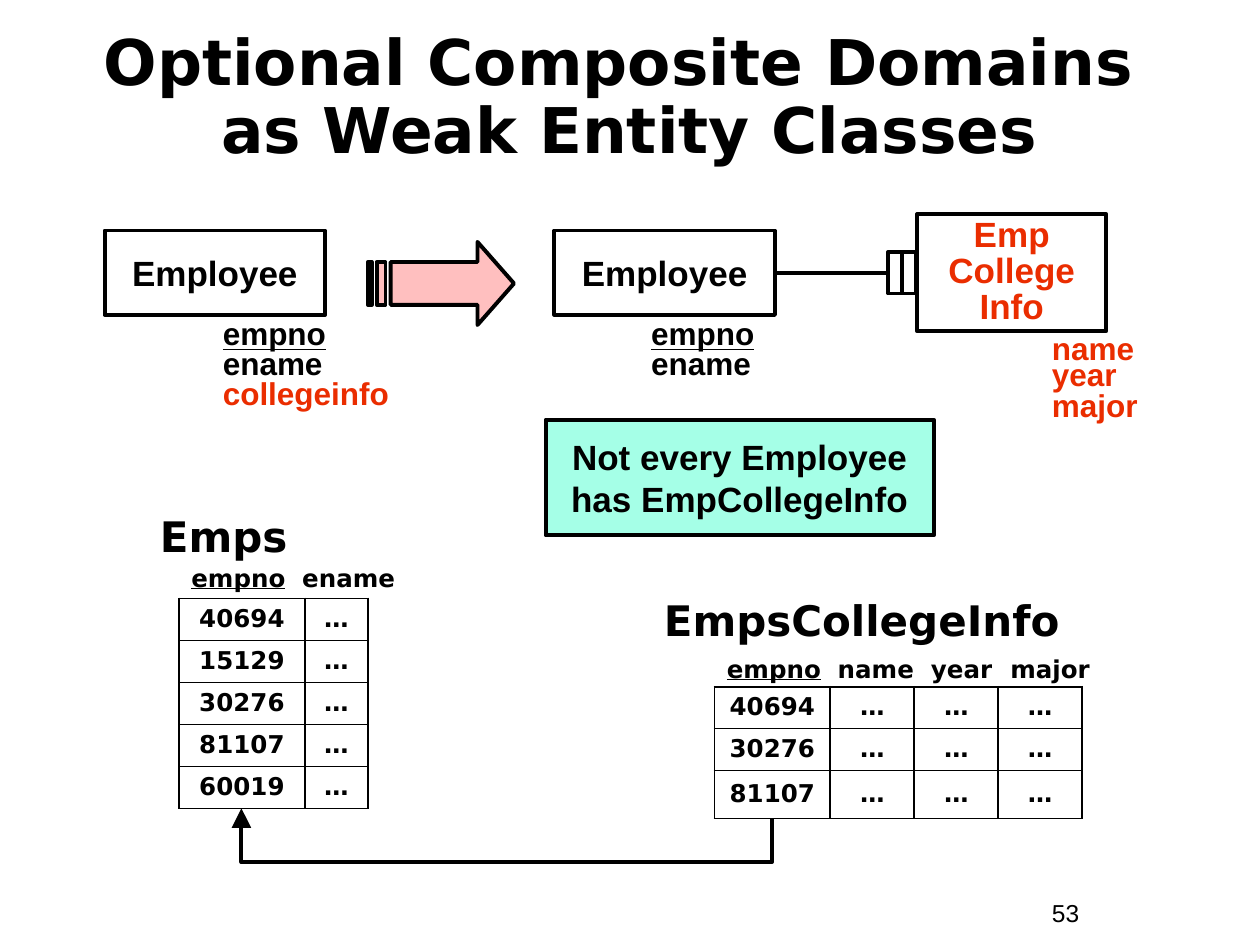
from dataclasses import dataclass

import pptx
import pptx.dml.color
import pptx.enum.shapes
import pptx.enum.text
import pptx.oxml
import pptx.oxml.ns
import pptx.util
from pptx.util import Inches

SHAPE = pptx.enum.shapes.MSO_SHAPE
CONNECTOR = pptx.enum.shapes.MSO_CONNECTOR
ALIGN = pptx.enum.text.PP_ALIGN
ANCHOR = pptx.enum.text.MSO_ANCHOR
BLACK, RED, PINK, MINT = "000000", "EA2D00", "FFBFBF", "A5FFE7"
ARIAL, DEJAVU = "Arial", "DejaVu Sans"
ROW = 1 / 3


@dataclass
class Line:
    text: str
    color: str = BLACK
    spacing: float = 1.0
    underline: bool = False
    rest: str = ""  # continues the line without underline


@dataclass
class Label:
    box: tuple[float, float, float, float]
    lines: list[Line]
    size: float
    font: str = ARIAL
    bold: bool = True
    centered: bool = False
    wrap: bool = True
    tabs: tuple[float, ...] = ()


@dataclass
class Grid:
    left: float
    top: float
    cols: list[float]
    rows: list[float]
    keys: list[str]


def rgb(value: str) -> pptx.dml.color.RGBColor:
    return pptx.dml.color.RGBColor.from_string(value)


def child(parent, tag: str, **attrs: str):
    el = pptx.oxml.parse_xml(f"<{tag} {pptx.oxml.ns.nsdecls('a')}/>")
    for name, value in attrs.items():
        el.set(name, value)
    parent.append(el)
    return el


def outline(sp, fill: str | None = None) -> None:
    sp.shadow.inherit = False
    if fill:
        sp.fill.solid()
        sp.fill.fore_color.rgb = rgb(fill)
    else:
        sp.fill.background()
    sp.line.color.rgb = rgb(BLACK)
    sp.line.width = pptx.util.Pt(2.25)


def add_run(p, text: str, color: str, **fmt) -> None:
    for i, part in enumerate(text.split("\n")):
        if i:
            p.add_line_break()
        r = p.add_run()
        r.text = part
        for name, value in fmt.items():
            setattr(r.font, name, value)
        r.font.color.rgb = rgb(color)


def write(tf, label: Label) -> None:
    tf.word_wrap = label.wrap
    fmt = {"size": pptx.util.Pt(label.size), "name": label.font, "bold": label.bold}
    for i, line in enumerate(label.lines):
        p = tf.add_paragraph() if i else tf.paragraphs[0]
        p.alignment = ALIGN.CENTER if label.centered else ALIGN.LEFT
        p.line_spacing = line.spacing
        if label.tabs:
            tabs = child(p._p.get_or_add_pPr(), "a:tabLst")
            for x in label.tabs:
                child(tabs, "a:tab", pos=str(Inches(x)), algn="l")
        add_run(p, line.text, line.color, underline=line.underline, **fmt)
        if line.rest:
            add_run(p, line.rest, line.color, **fmt)


def add_label(s, label: Label) -> None:
    tf = s.shapes.add_textbox(*map(Inches, label.box)).text_frame
    tf.vertical_anchor = ANCHOR.MIDDLE if label.centered else ANCHOR.TOP
    write(tf, label)


def add_box(s, box: tuple, fill: str | None = None, label: Label | None = None) -> None:
    sp = s.shapes.add_shape(SHAPE.RECTANGLE, *map(Inches, box))
    outline(sp, fill)
    if label:
        sp.text_frame.vertical_anchor = ANCHOR.MIDDLE
        write(sp.text_frame, label)


def add_grid(s, grid: Grid) -> None:
    size = (grid.left, grid.top, sum(grid.cols), sum(grid.rows))
    table = s.shapes.add_table(len(grid.rows), len(grid.cols), *map(Inches, size)).table
    table.first_row = table.horz_banding = False
    for col, width in zip(table.columns, grid.cols):
        col.width = Inches(width)
    for row, height, key in zip(table.rows, grid.rows, grid.keys):
        row.height = Inches(height)
        for i, cell in enumerate(row.cells):
            cell.vertical_anchor = ANCHOR.MIDDLE
            pr = cell._tc.get_or_add_tcPr()
            for side in ("lnL", "lnR", "lnT", "lnB"):
                ln = child(pr, f"a:{side}", w=str(pptx.util.Pt(1.08)))
                child(child(ln, "a:solidFill"), "a:srgbClr", val=BLACK)
            cell.fill.background()
            p = cell.text_frame.paragraphs[0]
            p.alignment = ALIGN.CENTER
            p.line_spacing = 0.9
            add_run(p, "…" if i else key, BLACK, size=pptx.util.Pt(14), name=DEJAVU, bold=True)


def add_line(s, kind, start: tuple, end: tuple):
    cx = s.shapes.add_connector(kind, *map(Inches, start + end))
    cx.line.color.rgb = rgb(BLACK)
    cx.line.width = pptx.util.Pt(2.25)
    child(cx._element.spPr, "a:effectLst")
    return cx


def add_striped_arrow(s) -> None:
    top, bottom = 2.08, 2.42
    body = [(3.1, top), (3.79, top), (3.79, 1.92), (4.08, 2.25),
            (3.79, 2.58), (3.79, bottom), (3.1, bottom)]
    bars = [[(a, top), (b, top), (b, bottom), (a, bottom)] for a, b in ((2.92, 2.95), (2.99, 3.06))]
    # Freeform coordinates are whole numbers, so they are given in EMU
    first, *others = [[(Inches(x), Inches(y)) for x, y in part] for part in [body] + bars]
    fb = s.shapes.build_freeform(*first[0])
    fb.add_line_segments(first[1:], close=True)
    for part in others:
        fb.move_to(*part[0])
        fb.add_line_segments(part[1:], close=True)
    outline(fb.convert_to_shape(), PINK)


def add_key_link(s) -> None:
    """Route from the foreign key down, across and up to the Emps table."""
    cx = add_line(s, CONNECTOR.ELBOW, (3.98, 4.35), (4.06, 8.56))
    xfrm = cx._element.spPr.find(pptx.oxml.ns.qn("a:xfrm"))
    xfrm.set("rot", str(270 * 60000))
    xfrm.set("flipH", "1")
    geom = cx._element.spPr.find(pptx.oxml.ns.qn("a:prstGeom"))
    child(geom.find(pptx.oxml.ns.qn("a:avLst")), "a:gd", name="adj1", fmla="val 535000")
    child(cx.line._get_or_add_ln(), "a:headEnd", type="triangle", w="lg", len="lg")


def main() -> None:
    prs = pptx.Presentation()
    prs.slide_width, prs.slide_height = Inches(10), Inches(7.5)
    s = prs.slides.add_slide(prs.slide_layouts[6])

    # Title and page number
    title = Line("Optional Composite Domains \nas Weak Entity Classes", spacing=0.9)
    add_label(s, Label((0.33, 0.33, 9.33, 0.92), [title], 36, DEJAVU, centered=True))
    add_label(s, Label((8.25, 7.08, 0.92, 0.34), [Line("53")], 14, bold=False))

    # Entity classes and the note
    for box, line, fill, wrap in (
        ((0.83, 1.83, 1.75, 0.67), Line("Employee"), None, False),
        ((4.4, 1.83, 1.75, 0.67), Line("Employee"), None, False),
        ((7.28, 1.7, 1.5, 0.93), Line("Emp\nCollege\nInfo", RED, 0.85), None, False),
        ((4.33, 3.33, 3.08, 0.92), Line("Not every Employee has EmpCollegeInfo"), MINT, True),
    ):
        add_box(s, box, fill, Label(box, [line], 20, centered=True, wrap=wrap))

    # Attributes
    shared = [Line("empno", spacing=0.9, underline=True), Line("ename", spacing=0.75)]
    college = [Line("name", RED, 0.85), Line("year", RED, 0.65), Line("major", RED, 0.85)]
    add_label(s, Label((1.67, 2.48, 1.67, 0.84), shared + [Line("collegeinfo", RED, 0.8)], 18))
    add_label(s, Label((5.07, 2.48, 1.08, 0.6), shared, 18))
    add_label(s, Label((8.25, 2.61, 1.08, 0.81), college, 18))

    # Transformation arrow and weak-entity relationship
    add_striped_arrow(s)
    add_line(s, CONNECTOR.STRAIGHT, (6.17, 2.17), (7.04, 2.17))
    for left in (7.16, 7.05):
        add_box(s, (left, 2, 0.11, 0.33))

    # Tables with names and column headings
    add_grid(s, Grid(1.42, 4.75, [1, 0.5], [ROW] * 5, ["40694", "15129", "30276", "81107", "60019"]))
    add_grid(s, Grid(5.67, 5.45, [0.92] + [2 / 3] * 3, [ROW, ROW, 0.38], ["40694", "30276", "81107"]))
    for name, box in (("Emps", (1.17, 4, 2.42, 0.5)), ("EmpsCollegeInfo", (5.17, 4.67, 3.58, 0.5))):
        add_label(s, Label(box, [Line(name)], 24, DEJAVU))
    for rest, box, tabs in (
        ("\tename", (1.42, 4.42, 3.75, 0.34), (0.88,)),
        ("\tname\tyear\tmajor", (5.67, 5.14, 3.42, 0.34), (0.88, 1.62, 2.25)),
    ):
        add_label(s, Label(box, [Line("empno", underline=True, rest=rest)], 14, DEJAVU, tabs=tabs))
    add_key_link(s)

    prs.save("out.pptx")


if __name__ == "__main__":
    main()
